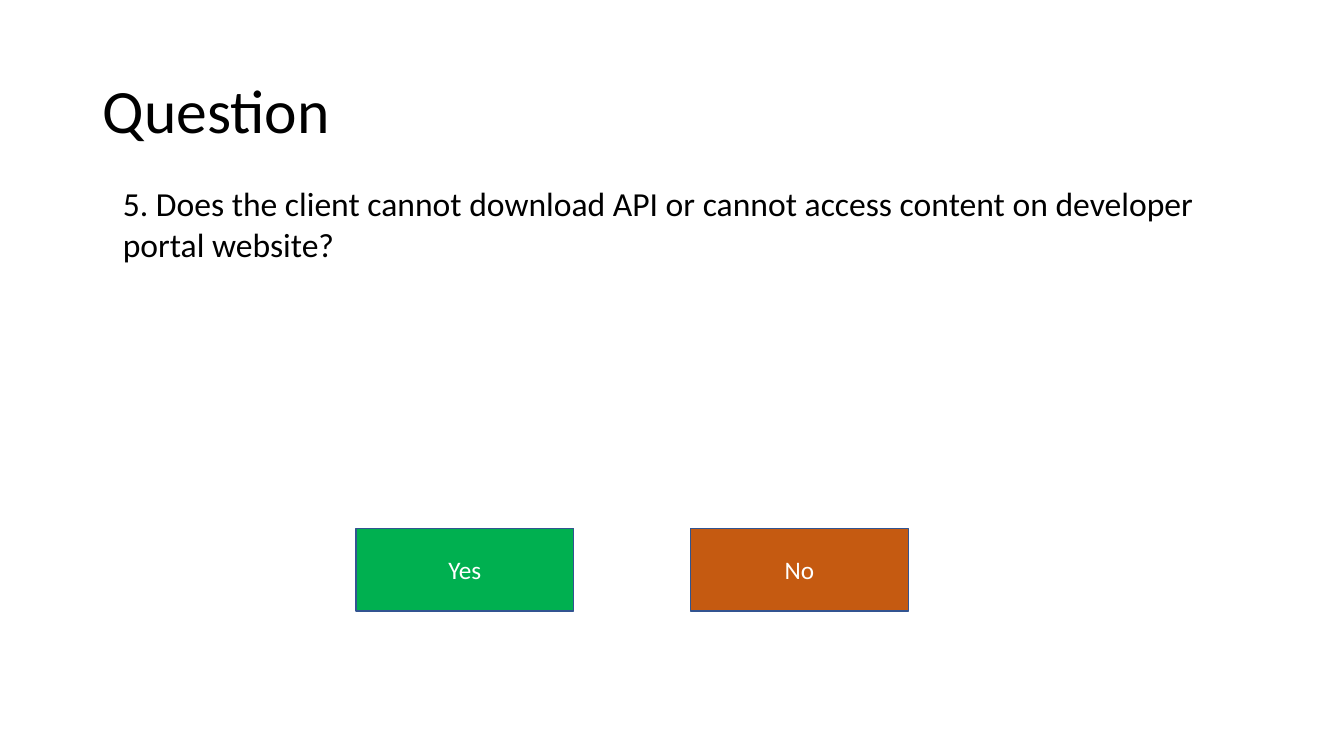
"""Build a question slide with Yes and No answer buttons."""
from pptx import Presentation
from pptx.dml.color import RGBColor
from pptx.enum.shapes import MSO_SHAPE
from pptx.enum.text import MSO_ANCHOR, PP_ALIGN
from pptx.util import Inches, Pt

RECTANGLE = MSO_SHAPE.RECTANGLE
TOP, MIDDLE = MSO_ANCHOR.TOP, MSO_ANCHOR.MIDDLE
LEFT, CENTER = PP_ALIGN.LEFT, PP_ALIGN.CENTER
BLACK = RGBColor(0x00, 0x00, 0x00)
WHITE = RGBColor(0xFF, 0xFF, 0xFF)
GREEN = RGBColor(0x00, 0xB0, 0x50)
ORANGE = RGBColor(0xC5, 0x5A, 0x11)
BORDER = RGBColor(0x32, 0x54, 0x91)


def write_text(shape, text, size, color=BLACK, align=LEFT, anchor=MIDDLE, spacing=1.0):
    frame = shape.text_frame
    frame.word_wrap = True
    frame.vertical_anchor = anchor
    paragraph = frame.paragraphs[0]
    paragraph.alignment = align
    paragraph.line_spacing = spacing
    run = paragraph.add_run()
    run.text = text
    run.font.name = "Calibri"
    run.font.size = Pt(size)
    run.font.color.rgb = color


presentation = Presentation()
presentation.slide_width = Inches(13.33)
presentation.slide_height = Inches(7.5)
slide = presentation.slides.add_slide(presentation.slide_layouts[5])

title = slide.shapes.title
title.left, title.top = Inches(0.92), Inches(0.4)
title.width, title.height = Inches(11.5), Inches(1.45)
write_text(title, "Question", size=44, spacing=0.9)

question = slide.shapes.add_textbox(Inches(1.12), Inches(1.77), Inches(11.22), Inches(0.91))
write_text(
    question,
    "5. Does the client cannot download API or cannot access content on developer portal website?",
    size=24,
    anchor=TOP,
)

for index, (answer, fill_color) in enumerate([("Yes", GREEN), ("No", ORANGE)]):
    button = slide.shapes.add_shape(
        RECTANGLE, Inches(3.53 + index * 3.32), Inches(5.24), Inches(2.16), Inches(0.82)
    )
    button.shadow.inherit = False
    button.fill.solid()
    button.fill.fore_color.rgb = fill_color
    button.line.color.rgb = BORDER
    button.line.width = Pt(1)
    write_text(button, answer, size=18, color=WHITE, align=CENTER)

presentation.save("out.pptx")
